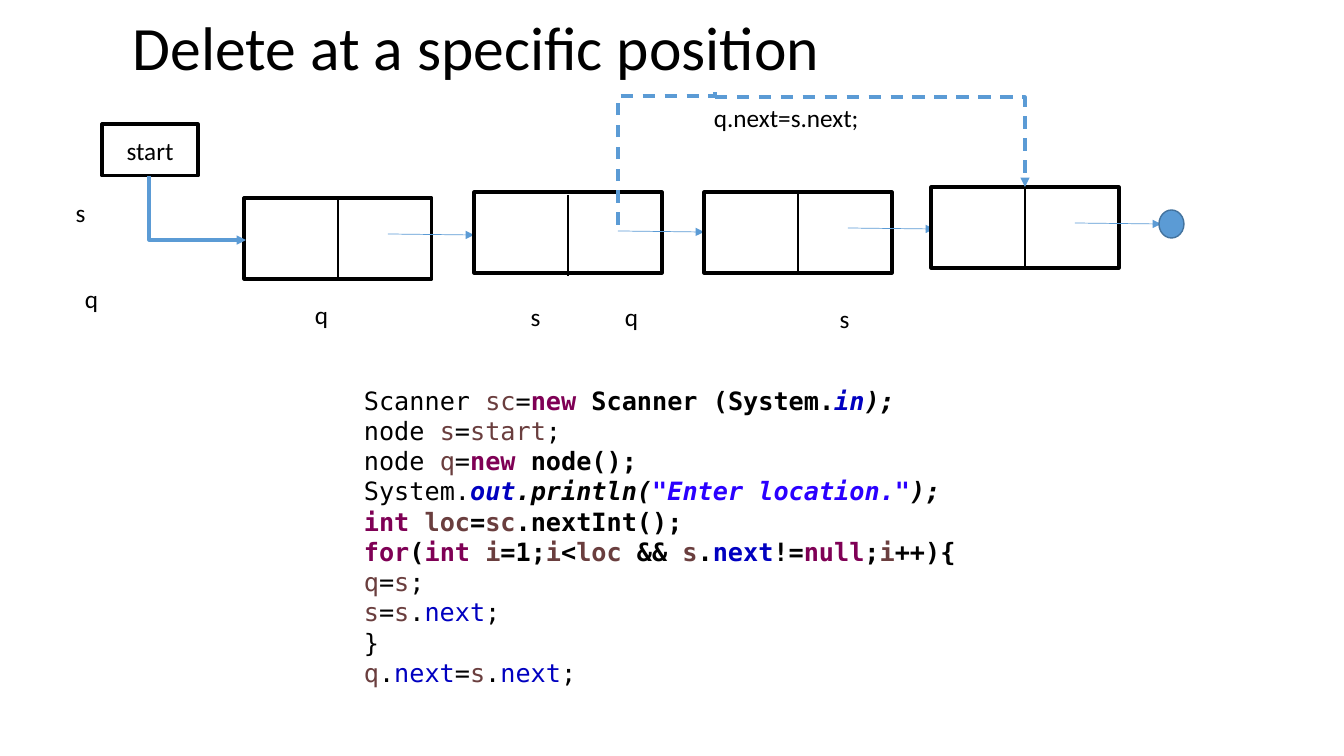
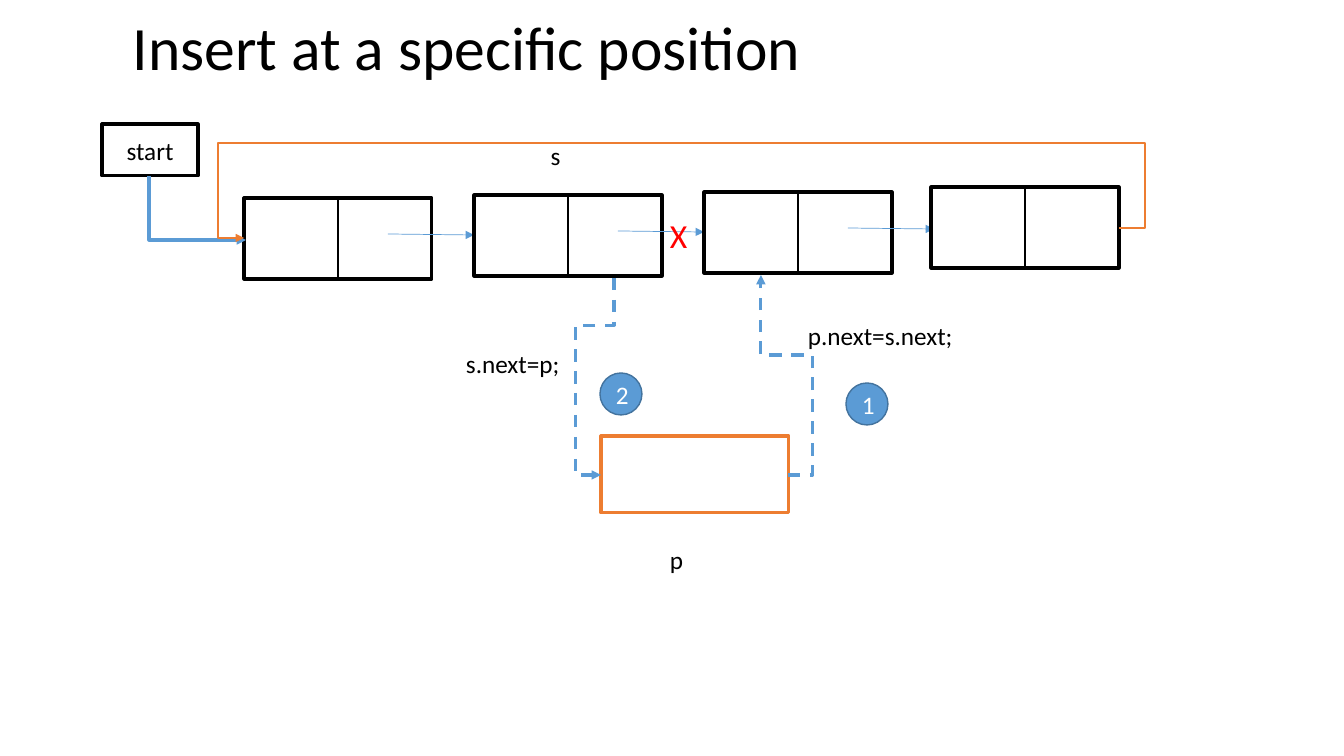
from lxml.etree import SubElement
from pptx import Presentation
from pptx.dml.color import RGBColor
from pptx.enum.dml import MSO_LINE
from pptx.enum.shapes import MSO_CONNECTOR as CONN, MSO_SHAPE as SHAPE
from pptx.enum.text import MSO_ANCHOR as ANCHOR, PP_ALIGN as ALIGN
from pptx.oxml.ns import qn
from pptx.util import Pt

# Scale: 1344 x 756 pixels on a 13.33 x 7.5 inch slide
PX = 12192000 / 1344

# Colours and fonts
BLACK = RGBColor(0x00, 0x00, 0x00)
WHITE = RGBColor(0xFF, 0xFF, 0xFF)
BLUE = RGBColor(0x5B, 0x9B, 0xD5)
DARK_BLUE = RGBColor(0x43, 0x73, 0x9E)
ORANGE = RGBColor(0xED, 0x7D, 0x31)
RED = RGBColor(0xFF, 0x00, 0x00)
KEYWORD = RGBColor(0x7F, 0x00, 0x55)
VARIABLE = RGBColor(0x6A, 0x3E, 0x3E)
FIELD = RGBColor(0x00, 0x00, 0xC0)
STRING = RGBColor(0x2A, 0x00, 0xFF)
SANS, MONO = "Calibri", "DejaVu Sans Mono"

# Linked list geometry
NODE_W, NODE_H = 188, 81
NODE_X = (244, 474, 704, 931)
CELL_TOP = (198, 195, 192, 187)

# Code listing: each line is a row of (style, tokens), b = bold, i = italic
CODE = [
    [("", "Scanner |sc|="), ("b", "new| Scanner (System."), ("bi", "in|);")],
    [("", "node |s|=|start|;")],
    [("", "node |q|="), ("b", "new| node();")],
    [("", "System."), ("bi", 'out|.println(|"Enter location."|);')],
    [("b", "int |loc|=|sc|.nextInt();")],
    [("b", "for|(|int |i|=1;|i|<|loc| && |s|.|next|!=|null|;|i|++){")],
    [("", "q|=|s|;")],
    [("", "s|=|s|.|next|;")],
    [("", "}")],
    [("", "q|.|next|=|s|.|next|;")],
]
TOKEN_COLORS = {
    **dict.fromkeys(("new", "int ", "for", "null"), KEYWORD),
    **dict.fromkeys(("sc", "s", "q", "start", "loc", "i"), VARIABLE),
    **dict.fromkeys(("in", "out", "next"), FIELD),
    '"Enter location."': STRING,
}


def px(*values):
    return [round(v * PX) for v in values]


def style_run(r, size, color, font=SANS):
    r.font.size = Pt(size)
    r.font.name = font
    r.font.color.rgb = color


def add_box(s, x, y, w, h, text="", line=None, width=2.25, fill=WHITE,
            color=BLACK, shape=SHAPE.RECTANGLE):
    sp = s.shapes.add_shape(shape, *px(x, y, w, h))
    sp.shadow.inherit = False
    sp.fill.solid()
    sp.fill.fore_color.rgb = fill
    if line is None:
        sp.line.fill.background()
    else:
        sp.line.color.rgb = line
        sp.line.width = Pt(width)
    if text:
        tf = sp.text_frame
        tf.text = text
        tf.vertical_anchor = ANCHOR.MIDDLE
        p = tf.paragraphs[0]
        p.alignment = ALIGN.CENTER
        style_run(p.runs[0], 18, color)


def add_label(s, x, y, text):
    add_box(s, x, y, 67, 51, text)


def add_circle(s, x, y, w, h, text=""):
    add_box(s, x, y, w, h, text, DARK_BLUE, 1, BLUE, WHITE, SHAPE.OVAL)


def add_text(s, x, y, w, h, text, size=18, color=BLACK, wrap=False):
    tf = s.shapes.add_textbox(*px(x, y, w, h)).text_frame
    tf.word_wrap = wrap
    tf.text = text
    p = tf.paragraphs[0]
    style_run(p.runs[0], size, color)
    return p


def add_title(s, text):
    p = add_text(s, 123, 12, 1159, 112, text, 44, wrap=True)
    p.line_spacing = 0.9


def add_line(s, begin, end, color, width, arrow=True, dash=False,
             kind=CONN.STRAIGHT):
    cx = s.shapes.add_connector(kind, *px(*begin, *end))
    cx.line.color.rgb = color
    cx.line.width = Pt(width)
    if dash:
        cx.line.dash_style = MSO_LINE.DASH
    sp_pr = cx.element.spPr
    if arrow:
        SubElement(sp_pr.find(qn("a:ln")), qn("a:tailEnd"), type="triangle")
    SubElement(sp_pr, qn("a:effectLst"))
    return sp_pr


def add_elbow(s, begin, end, segments, adjusts=(), turn=0, color=BLUE,
              width=2.25, arrow=True, dash=True):
    """Bent connector; its frame is turned clockwise by turn degrees."""
    (x1, y1), (x2, y2) = begin, end
    dx, dy = x2 - x1, y2 - y1
    dx, dy = {0: (dx, dy), 90: (dy, -dx), 270: (-dy, dx)}[turn]
    mx, my = (x1 + x2) / 2, (y1 + y2) / 2
    sp_pr = add_line(s, (mx - dx / 2, my - dy / 2), (mx + dx / 2, my + dy / 2),
                     color, width, arrow, dash, CONN.ELBOW)
    if turn:
        sp_pr.find(qn("a:xfrm")).set("rot", str(turn * 60000))
    geom = sp_pr.find(qn("a:prstGeom"))
    geom.set("prst", f"bentConnector{segments}")
    guides = geom.find(qn("a:avLst"))
    for i, value in enumerate(adjusts, 1):
        SubElement(guides, qn("a:gd"), name=f"adj{i}",
                   fmla=f"val {round(value * 100000)}")


def add_linked_list(s, box_tops, pointers):
    for i, (x, top, cell) in enumerate(zip(NODE_X, box_tops, CELL_TOP)):
        add_box(s, x, top, NODE_W, NODE_H, line=BLACK)
        middle = x + NODE_W / 2
        add_line(s, (middle, cell), (middle, cell + NODE_H), BLACK, 1.5,
                 arrow=False)
        if i < pointers:
            add_line(s, (x + 144, cell + 36), (x + 230, cell + 37), BLUE, 0.5)
    add_box(s, 102, 124, 96, 52, "start", BLACK)
    add_elbow(s, (149, 176), (246, 240), 2, turn=270, dash=False)


def add_code(s, x, y, w, h):
    tf = s.shapes.add_textbox(*px(x, y, w, h)).text_frame
    tf.word_wrap = True
    for i, line in enumerate(CODE):
        p = tf.add_paragraph() if i else tf.paragraphs[0]
        for style, tokens in line:
            for token in tokens.split("|"):
                r = p.add_run()
                r.text = token
                style_run(r, 18, TOKEN_COLORS.get(token, BLACK), MONO)
                r.font.bold = "b" in style
                r.font.italic = "i" in style


def build_delete(s):
    add_linked_list(s, (198, 192, 192, 187), pointers=4)
    add_circle(s, 1159, 210, 25, 28)
    # Positions of s and q at each step
    for x, y, name in ((288, 289, "q"), (502, 291, "s"), (598, 291, "q"),
                       (811, 293, "s"), (47, 187, "s"), (58, 273, "q")):
        add_label(s, x, y, name)
    # Bypass of the deleted node
    add_elbow(s, (618, 225), (715, 92), 3, (0.97,), turn=90, arrow=False)
    add_elbow(s, (715, 97), (1025, 187), 2)
    add_text(s, 704, 97, 166, 40, "q.next=s.next;")
    add_code(s, 354, 380, 672, 316)
    add_title(s, "Delete at a specific position")


def build_insert(s):
    add_linked_list(s, CELL_TOP, pointers=3)
    # New node and its two links
    add_box(s, 601, 436, NODE_W, 77, line=ORANGE)
    add_elbow(s, (788, 475), (761, 275), 4, (-0.92, 0.6))
    add_elbow(s, (614, 278), (601, 475), 4, (0.24, 2.97), turn=90)
    add_circle(s, 846, 383, 42, 42, "1")
    add_circle(s, 600, 373, 42, 42, "2")
    add_label(s, 643, 534, "p")
    add_label(s, 522, 130, "s")
    add_text(s, 456, 343, 133, 40, "s.next=p;")
    add_text(s, 798, 315, 166, 40, "p.next=s.next;")
    add_text(s, 660, 210, 38, 50, "X", 24, RED)
    add_title(s, "Insert at a specific position")
    # Link from the last node back to the first
    add_elbow(s, (1119, 228), (244, 238), 5, (-0.03, -8.5, 1.03),
              color=ORANGE, width=1.5, dash=False)


def main():
    prs = Presentation()
    prs.slide_width, prs.slide_height = px(1344, 756)
    for build in (build_delete, build_insert):
        build(prs.slides.add_slide(prs.slide_layouts[6]))
    prs.save("out.pptx")


main()
